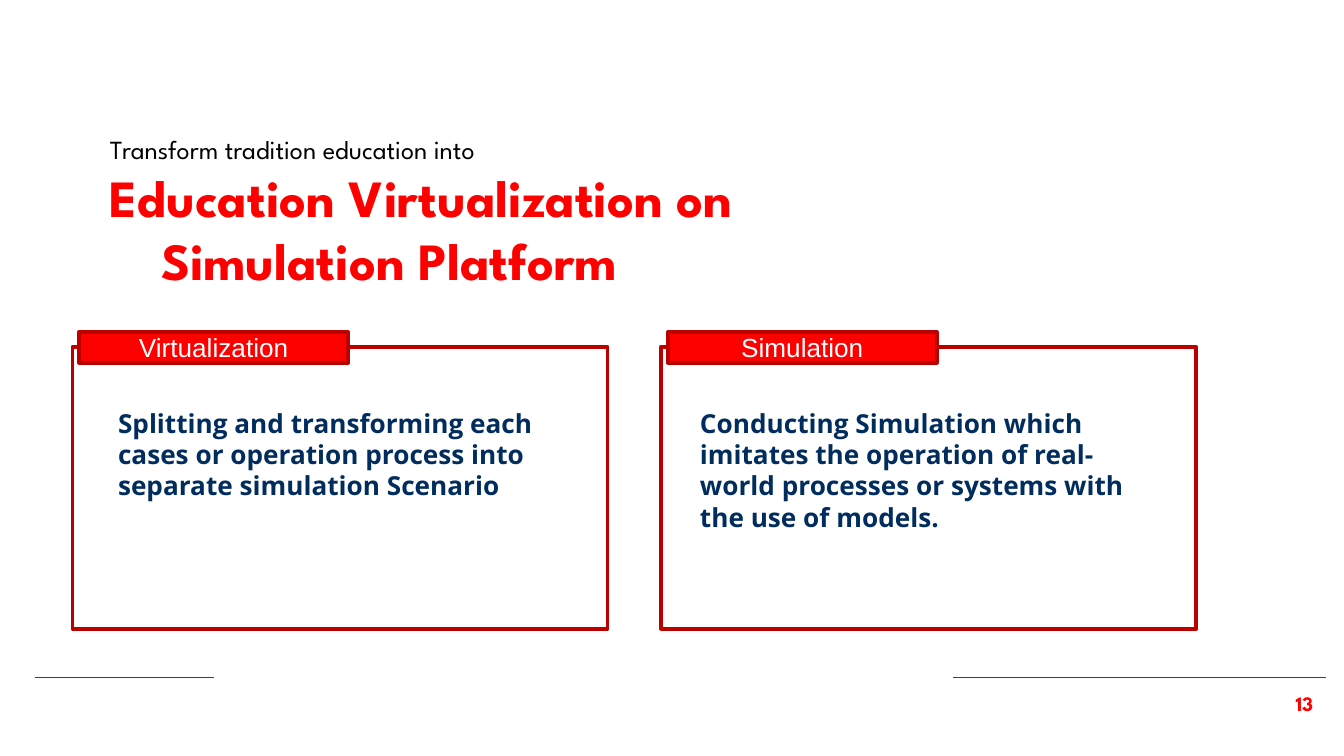
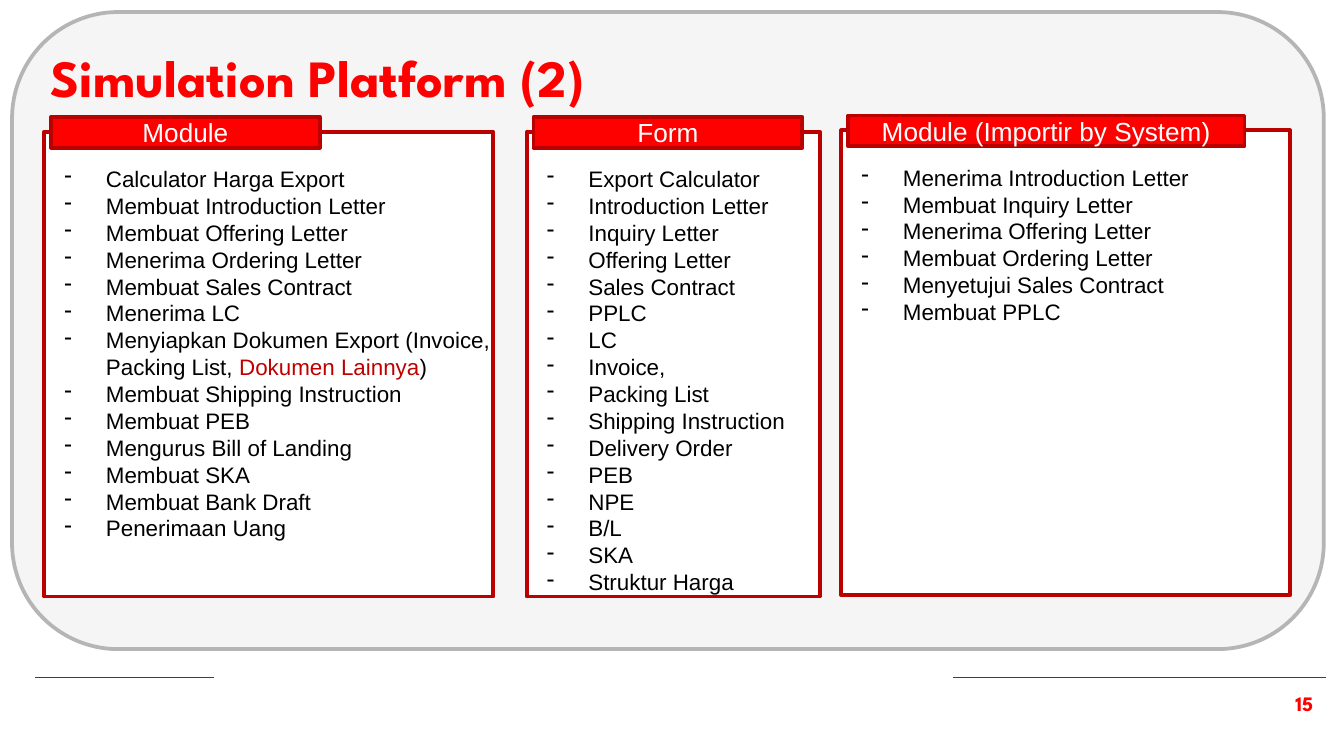
import pptx
import pptx.dml.color
import pptx.enum.shapes
import pptx.enum.text
import pptx.oxml
import pptx.oxml.ns
import pptx.util
from dataclasses import dataclass
from lxml import etree

Inches = pptx.util.Inches
Align = pptx.enum.text.PP_ALIGN
Anchor = pptx.enum.text.MSO_ANCHOR
Shape = pptx.enum.shapes.MSO_SHAPE


@dataclass(frozen=True)
class Theme:
    red: str = "FD0000"
    dark_red: str = "BB0000"
    accent: str = "C00000"
    navy: str = "002D5E"
    black: str = "000000"
    rule: str = "404040"
    white: str = "FFFFFF"
    card: str = "F5F5F5"
    card_border: str = "B5B5B5"
    display_font: str = "League Spartan"
    body_font: str = "Open Sans"
    list_font: str = "Arial"
    title_size: int = 28
    text_size: int = 14
    list_size: int = 12
    number_size: int = 11


def color(value):
    return pptx.dml.color.RGBColor.from_string(value)


class Deck:
    def __init__(self, theme):
        self.theme = theme
        self.presentation = pptx.Presentation()
        self.presentation.slide_width = Inches(10)
        self.presentation.slide_height = Inches(10 * 9 / 16)
        self.slide = None

    def new_slide(self, number):
        """Start a slide with the shared footer rules and page number."""
        theme = self.theme
        self.slide = self.presentation.slides.add_slide(self.presentation.slide_layouts[6])
        for left, right in ((0.26, 1.59), (7.09, 9.87)):
            self.rule(left, right, 5.04)
        paragraph = self.text_box(9.23, 5.05, 0.64, 0.43, inset=0.1).paragraphs[0]
        paragraph.text = str(number)
        paragraph.alignment = Align.RIGHT
        self.style(paragraph, theme.display_font, theme.number_size, theme.red, True)

    def rule(self, left, right, top):
        line = self.slide.shapes.add_connector(
            pptx.enum.shapes.MSO_CONNECTOR.STRAIGHT,
            Inches(left), Inches(top), Inches(right), Inches(top))
        line.line.color.rgb = color(self.theme.rule)
        line.line.width = pptx.util.Pt(0.75)
        etree.SubElement(line._element.spPr, pptx.oxml.ns.qn("a:effectLst"))

    def box(self, left, top, width, height, fill, border, kind=Shape.RECTANGLE):
        shape = self.slide.shapes.add_shape(
            kind, Inches(left), Inches(top), Inches(width), Inches(height))
        shape.shadow.inherit = False
        shape.fill.solid()
        shape.fill.fore_color.rgb = color(fill)
        shape.line.color.rgb = color(border)
        shape.line.width = pptx.util.Pt(2)
        return shape

    def text_box(self, left, top, width, height, inset=0.05):
        frame = self.slide.shapes.add_textbox(
            Inches(left), Inches(top), Inches(width), Inches(height)).text_frame
        frame.word_wrap = True
        frame.margin_top = frame.margin_bottom = Inches(inset)
        return frame

    def style(self, paragraph, font, size, ink, bold=False):
        for run in paragraph.runs:
            run.font.name = font
            run.font.size = pptx.util.Pt(size)
            run.font.color.rgb = color(ink)
            run.font.bold = bold

    def indent(self, paragraph, left, first):
        properties = paragraph._p.get_or_add_pPr()
        properties.set("marL", str(Inches(left)))
        properties.set("indent", str(Inches(first)))
        return properties

    def heading(self, text, left, top, width, height, size, ink, bold):
        """Display text whose second line hangs to the right of the first."""
        paragraph = self.text_box(left, top, width, height, inset=0.1).paragraphs[0]
        paragraph.text = text
        self.indent(paragraph, 0.5, -0.38)
        self.style(paragraph, self.theme.display_font, size, ink, bold)

    def title(self, text, left, top, height):
        self.heading(text, left, top, 5.66, height,
                     self.theme.title_size, self.theme.red, True)

    def panel(self, label, left, top, width, height, label_width=2):
        """Framed box with a red label over its top edge."""
        theme = self.theme
        self.box(left, top, width, height, theme.white, theme.dark_red)
        tab = self.box(left + 0.05, top - 0.11, label_width, 0.23, theme.red, theme.dark_red)
        frame = tab.text_frame
        frame.text = label
        frame.word_wrap = True
        frame.vertical_anchor = Anchor.MIDDLE
        frame.paragraphs[0].alignment = Align.CENTER
        self.style(frame.paragraphs[0], theme.list_font, theme.text_size, theme.white)

    def statement(self, text, left, top, height):
        paragraph = self.text_box(left, top, 3.59, height).paragraphs[0]
        paragraph.text = text
        self.style(paragraph, self.theme.body_font, self.theme.text_size, self.theme.navy, True)

    def dash_list(self, items, left, top, width, height, highlight):
        """Dashed list; the highlighted phrase takes the accent colour."""
        theme = self.theme
        frame = self.text_box(left, top, width, height)
        for index, item in enumerate(items):
            paragraph = frame.add_paragraph() if index else frame.paragraphs[0]
            properties = self.indent(paragraph, 0.31, -0.31)
            bullet_color = etree.SubElement(properties, pptx.oxml.ns.qn("a:buClr"))
            etree.SubElement(bullet_color, pptx.oxml.ns.qn("a:srgbClr"), val=theme.black)
            etree.SubElement(properties, pptx.oxml.ns.qn("a:buChar"), char="-")
            before, phrase, after = item.partition(highlight)
            for part in filter(None, (before, phrase, after)):
                paragraph.add_run().text = part
            self.style(paragraph, theme.list_font, theme.list_size, theme.black)
            for run in paragraph.runs:
                if run.text == highlight:
                    run.font.color.rgb = color(theme.accent)


def virtualization_slide(deck):
    theme = deck.theme
    deck.new_slide(13)
    deck.title("Education Virtualization on Simulation Platform", 0.6, 1.13, 3)
    deck.heading("Transform tradition education into", 0.6, 0.89, 3.94, 0.34,
                 theme.text_size, theme.black, False)

    # Two definitions: label, panel left, text left, text height, text
    definitions = (
        ("Virtualization", 0.54, 0.78, 0.81,
         "Splitting and transforming each cases or operation process into "
         "separate simulation Scenario"),
        ("Simulation", 4.92, 5.11, 1.04,
         "Conducting Simulation which imitates the operation of real-world "
         "processes or systems with the use of models."),
    )
    for label, left, text_left, text_height, text in definitions:
        deck.panel(label, left, 2.58, 3.98, 2.1)
        deck.statement(text, text_left, 2.98, text_height)


def platform_slide(deck):
    theme = deck.theme
    deck.new_slide(15)
    deck.box(0.09, 0.09, 9.76, 4.74, theme.card, theme.card_border, Shape.ROUNDED_RECTANGLE)
    deck.title("Simulation Platform (2)", 0.16, 0.24, 0.56)

    modules = (
        "Calculator Harga Export", "Membuat Introduction Letter",
        "Membuat Offering Letter", "Menerima Ordering Letter",
        "Membuat Sales Contract", "Menerima LC",
        "Menyiapkan Dokumen Export (Invoice, Packing List, Dokumen Lainnya)",
        "Membuat Shipping Instruction", "Membuat PEB", "Mengurus Bill of Landing",
        "Membuat SKA", "Membuat Bank Draft", "Penerimaan Uang",
    )
    forms = (
        "Export Calculator", "Introduction Letter", "Inquiry Letter", "Offering Letter",
        "Sales Contract", "PPLC", "LC", "Invoice,", "Packing List",
        "Shipping Instruction", "Delivery Order", "PEB", "NPE", "B/L", "SKA",
        "Struktur Harga",
    )
    importer_modules = (
        "Menerima Introduction Letter", "Membuat Inquiry Letter",
        "Menerima Offering Letter", "Membuat Ordering Letter",
        "Menyetujui Sales Contract", "Membuat PPLC",
    )

    # Columns: label, left, top, width, label width, list width, list height, items
    columns = (
        ("Module", 0.33, 0.98, 3.34, 2, 3.39, 3.33, modules),
        ("Form", 3.92, 0.98, 2.18, 2, 2.74, 3.74, forms),
        ("Module (Importir by System)", 6.26, 0.97, 3.34, 2.95, 3.39, 2.73, importer_modules),
    )
    for label, left, top, width, label_width, list_width, list_height, items in columns:
        deck.panel(label, left, top, width, 3.46, label_width)
        deck.dash_list(items, left + 0.05, top + 0.2, list_width, list_height,
                       highlight="Dokumen Lainnya")


def main():
    deck = Deck(Theme())
    virtualization_slide(deck)
    platform_slide(deck)
    deck.presentation.save("out.pptx")


if __name__ == "__main__":
    main()
